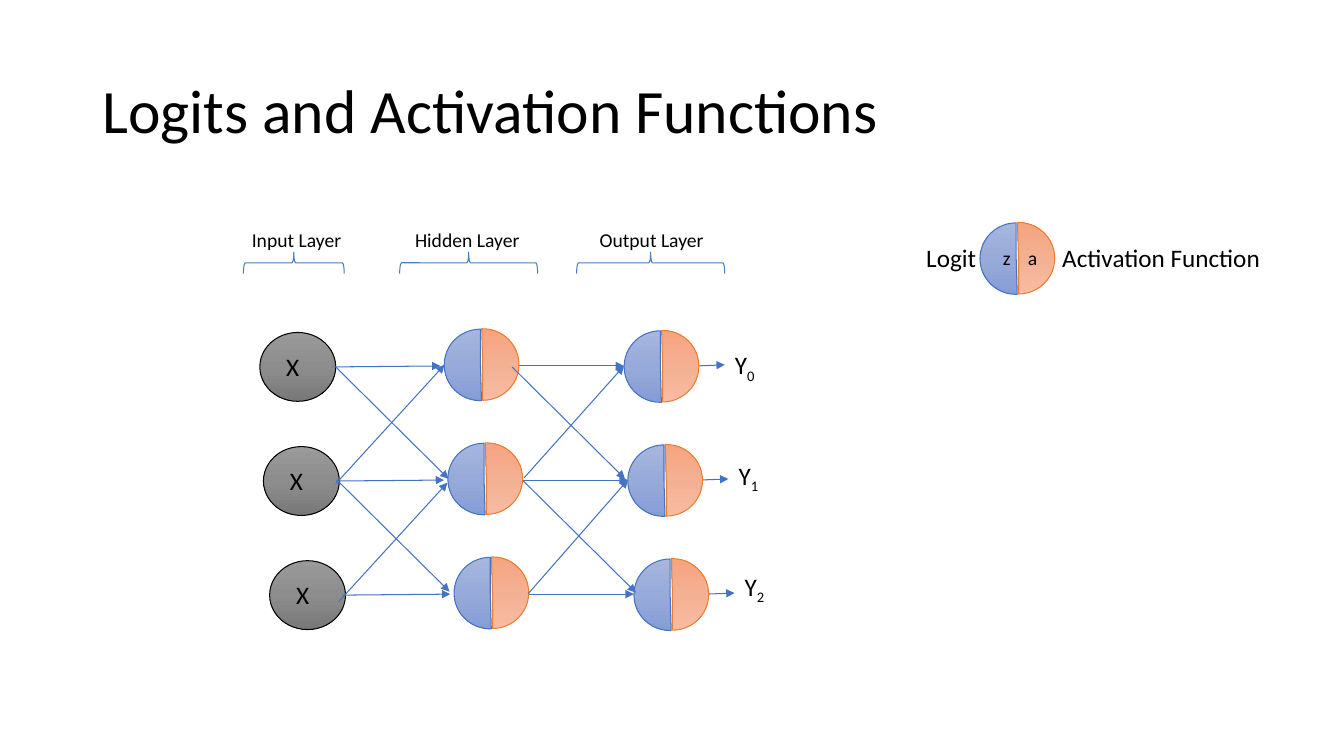
from copy import deepcopy
from dataclasses import dataclass

from lxml.etree import SubElement
from pptx import Presentation
from pptx.dml.color import RGBColor
from pptx.enum.shapes import MSO_CONNECTOR as Link, MSO_SHAPE as Kind
from pptx.enum.text import MSO_ANCHOR as Anchor, MSO_AUTO_SIZE as Fit, PP_ALIGN as Align
from pptx.oxml.ns import qn
from pptx.util import Pt

# Content, with lengths in points
TITLE = "Logits and Activation Functions"
LAYERS = [  # label, label left, brace centre, brace length
    ("Input Layer", 172.8, 209.9, 72),
    ("Hidden Layer", 289.4, 334.8, 98.6),
    ("Output Layer", 421.2, 464.8, 105.8),
]
ROWS = [("X", "0", 0), ("X", "1", 2.6), ("X", "2", 7)]  # input, output index, shift
FLOWS = [  # arrows along the first row
    (237.6, 262.1, 314.6, 261.4),
    (366.5, 261.4, 445.7, 261.4),
    (497.5, 261.4, 517.7, 260.6),
]
CROSSES = [  # start x, start y, run, rise
    (239.8, 262.1, 80.6, 79.9),
    (240.5, 342.7, 80.6, 79.9),
    (365.8, 262.1, 80.6, 79.9),
    (373.7, 343.4, 80.6, 79.9),
    (239.8, 345.6, 77.7, -85),
    (241.9, 429.8, 77.7, -85),
    (374.4, 341.3, 71.3, -79.9),
    (377.3, 424.1, 71.3, -81.4),
]
KEY = [  # text, left, top, width, size, vertical inset
    ("Activation Function", 751.7, 169.2, 168.5, 18, 3.6),
    ("Logit", 654.5, 169.2, 72.7, 18, 3.6),
    ("z", 709.2, 168.5, 26.6, 14, 7.2),
    ("a", 727.2, 168.5, 26.6, 14, 7.2),
]
PITCH, DROP = 81.5, 79.2  # row steps of the nodes and of the Y labels


@dataclass
class Theme:
    font: str = "Calibri"
    ink: str = "000000"
    blue: str = "4472C4"
    brace: str = "4A7EBB"
    orange: str = "ED7D31"
    gray_fill: tuple = ("9A9A9A", "8D8D8D", "787878")
    blue_fill: tuple = ("A6B6DE", "98AAD9", "859CD7")
    orange_fill: tuple = ("F7BCA2", "F4B093", "F7A47F")
    head: int = 44
    body: int = 18
    small: int = 14
    line: float = 0.75


theme = Theme()
rgb = RGBColor.from_string

deck = Presentation()
deck.slide_width, deck.slide_height = Pt(960), Pt(540)
slide = deck.slides.add_slide(deck.slide_layouts[5])


def style(run, size):
    run.font.name = theme.font
    run.font.size = Pt(size)
    run.font.color.rgb = rgb(theme.ink)


def label(text, x, y, w, h, size, inset=3.6, sub=""):
    """Add a text box; sub is set as a subscript after the text."""
    frame = slide.shapes.add_textbox(Pt(x), Pt(y), Pt(w), Pt(h)).text_frame
    frame.text = text
    frame.word_wrap = True
    frame.margin_top = frame.margin_bottom = Pt(inset)
    para = frame.paragraphs[0]
    if sub:
        low = para.add_run()
        low.text = sub
        low.font._element.set("baseline", "-25000")
    for run in para.runs:
        style(run, size)


def stroke(item, color):
    item.line.color.rgb = rgb(color)
    item.line.width = Pt(theme.line)


def shape(home, kind, x, y, w, h, color, tones=()):
    """Add an outlined shape, with a three-tone vertical gradient if tones are given."""
    item = home.add_shape(kind, Pt(x), Pt(y), Pt(w), Pt(h))
    item.shadow.inherit = False
    stroke(item, color)
    if not tones:
        item.fill.background()
        return item
    item.fill.gradient()
    item.fill.gradient_angle = 270
    stops = item._element.spPr.find(".//" + qn("a:gsLst"))
    stops.insert(1, deepcopy(stops[0]))
    for stop, tone, place in zip(item.fill.gradient_stops, tones, (0, 0.5, 1)):
        stop.color.rgb = rgb(tone)
        stop.position = place
    return item


def neuron(x, y):
    """Group a blue logit half with an orange activation half."""
    home = slide.shapes.add_group_shape().shapes
    halves = [
        (0, 0, 0, theme.blue, theme.blue_fill),
        (1.6, -0.3, 180, theme.orange, theme.orange_fill),
    ]
    for dx, dy, turn, color, tones in halves:
        half = shape(home, Kind.PIE, x + dx, y + dy, 51.8, 51.1, color, tones)
        half.adjustments[0], half.adjustments[1] = 53.016, 162
        half.rotation = turn


def arrow(x1, y1, x2, y2):
    item = slide.shapes.add_connector(Link.STRAIGHT, Pt(x1), Pt(y1), Pt(x2), Pt(y2))
    stroke(item, theme.blue)
    SubElement(item.line._get_or_add_ln(), qn("a:tailEnd"), type="triangle")
    SubElement(item._element.spPr, qn("a:effectLst"))


def heading():
    title = slide.shapes.title
    title.left, title.top, title.width, title.height = Pt(66), Pt(28.8), Pt(828), Pt(104.4)
    frame = title.text_frame
    frame.text = TITLE
    frame.auto_size = Fit.NONE
    frame.vertical_anchor = Anchor.MIDDLE
    para = frame.paragraphs[0]
    para.alignment = Align.LEFT
    para.line_spacing = 0.9
    style(para.runs[0], theme.head)


def layers():
    thick, mid = 15.4, 187.7
    for text, left, centre, span in LAYERS:
        brace = shape(slide.shapes, Kind.RIGHT_BRACE, centre - thick / 2,
                      mid - span / 2, thick, span, theme.brace)
        brace.rotation = 270
        label(text, left, 159.1, 91.4, 40.3, theme.small)


def network():
    for row, (text, index, dx) in enumerate(ROWS):
        dy = row * PITCH
        shape(slide.shapes, Kind.OVAL, 185.6 + dx, 237.5 + dy, 54.2, 49.2,
              theme.ink, theme.gray_fill)
        label(text, 197.4 + dx, 247.6 + dy, 26.6, 28.8, theme.body)
        for x1, y1, x2, y2 in FLOWS:
            arrow(x1 + dx, y1 + dy, x2 + dx, y2 + dy)
        neuron(445.8 + dx, 236.3 + dy)
        neuron(317.3 + dx, 235.1 + dy)
        label("Y", 517.9 + dx, 246.2 + row * DROP, 41, 28.8, theme.body, sub=index)
    for x, y, run, rise in CROSSES:
        arrow(x, y, x + run, y + rise)


def legend():
    neuron(700, 159.2)
    for text, x, y, w, size, inset in KEY:
        label(text, x, y, w, 28.8, size, inset)


heading()
layers()
network()
legend()
deck.save("out.pptx")
